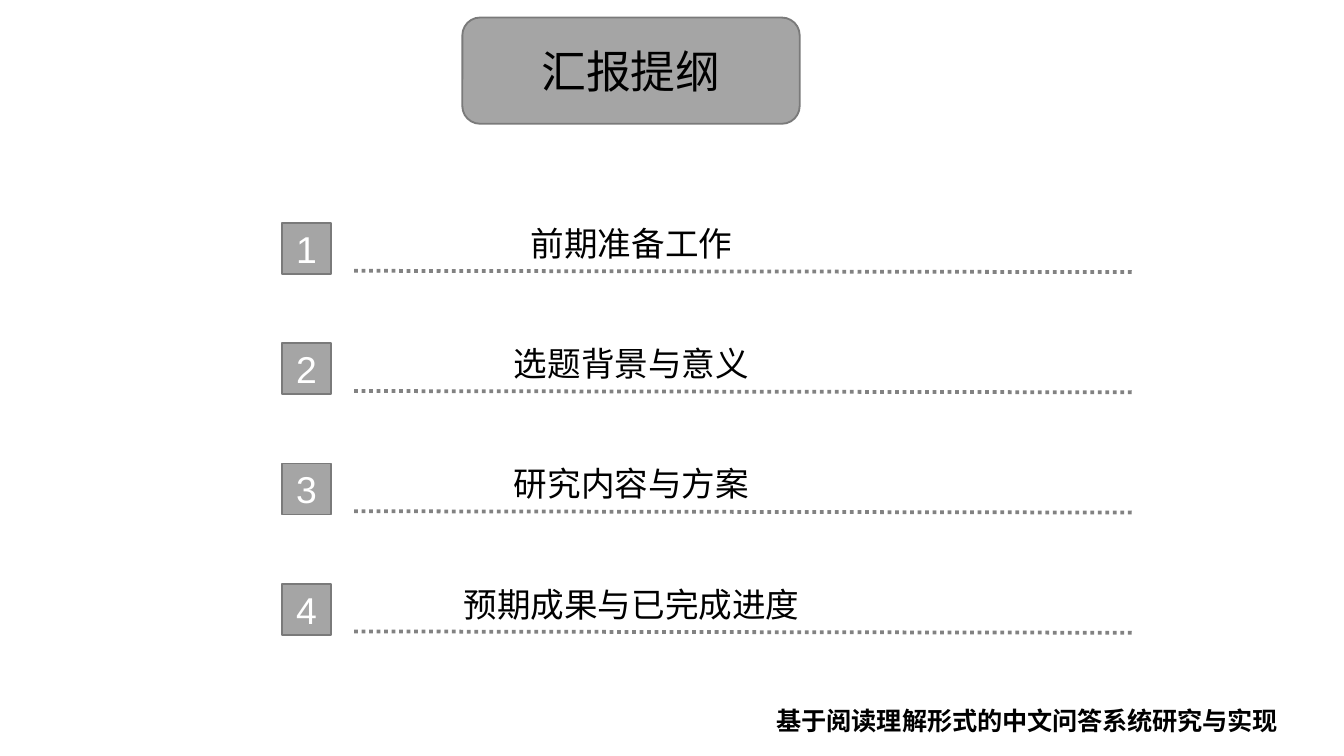
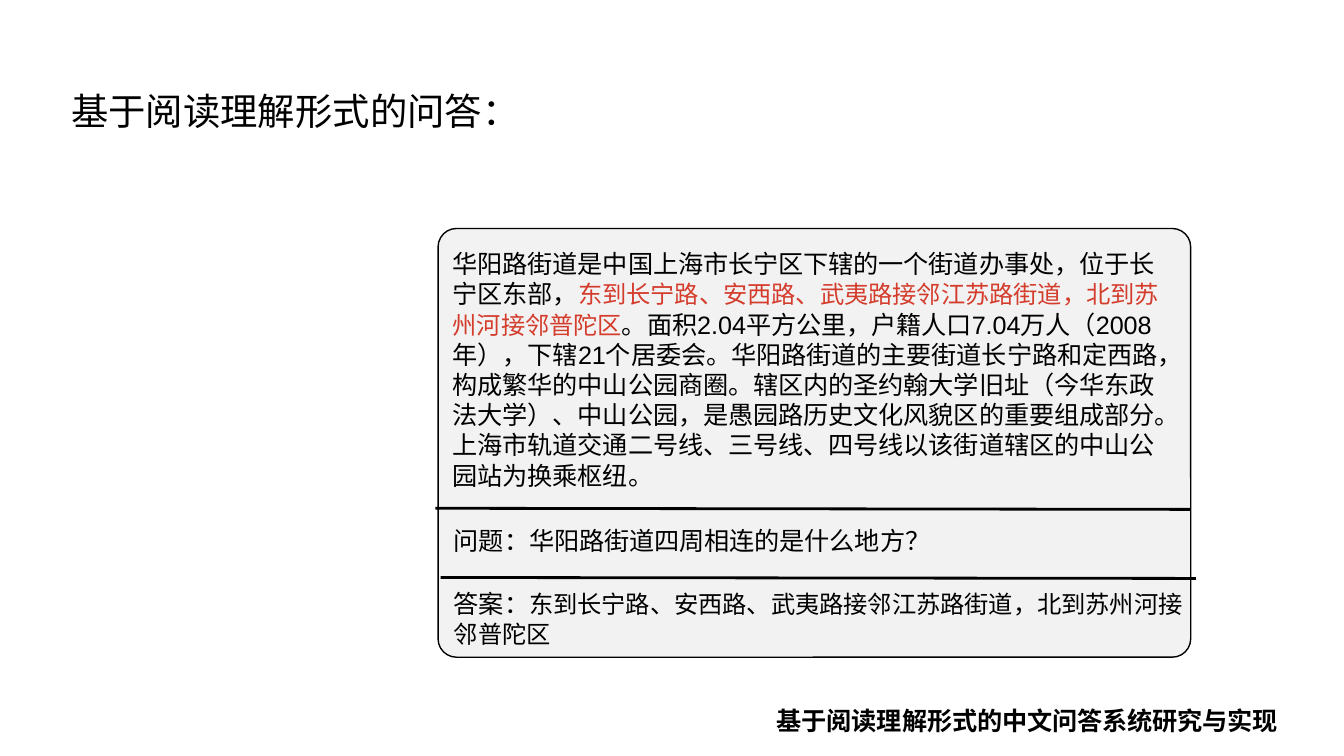
from lxml import etree
from pptx import Presentation
from pptx.dml.color import RGBColor
from pptx.enum import dml, shapes, text
from pptx.oxml import ns
from pptx.util import Pt

FONT = "Arial"
BLACK, WHITE, RED = "000000", "FFFFFF", "D43C2C"
GREY, GREY_EDGE, GREY_DOTS, PANEL = "A5A5A5", "7A7A7A", "828282", "F2F2F2"
BODY_SIZE, ANSWER_SIZE = 13.5, 13

FOOTER = "基于阅读理解形式的中文问答系统研究与实现"
AGENDA = ["前期准备工作", "选题背景与意义", "研究内容与方案", "预期成果与已完成进度"]
ANSWER = "东到长宁路、安西路、武夷路接邻江苏路街道，北到苏州河接邻普陀区"
PASSAGE_START = "华阳路街道是中国上海市长宁区下辖的一个街道办事处，位于长宁区东部，"
PASSAGE_END = (
    "。面积2.04平方公里，户籍人口7.04万人（2008年），下辖21个居委会。"
    "华阳路街道的主要街道长宁路和定西路，构成繁华的中山公园商圈。"
    "辖区内的圣约翰大学旧址（今华东政法大学）、中山公园，是愚园路历史文化风貌区的重要组成部分。"
    "上海市轨道交通二号线、三号线、四号线以该街道辖区的中山公园站为换乘枢纽。"
)


def color(value):
    return RGBColor.from_string(value)


def add_run(paragraph, words, size, ink=BLACK, bold=False):
    run = paragraph.add_run()
    run.text = words
    run.font.name = FONT
    run.font.size = Pt(size)
    run.font.bold = bold
    run.font.color.rgb = color(ink)


def add_text(slide, box, centered=False):
    """Add a wrapping text box and return its first paragraph."""
    frame = slide.shapes.add_textbox(*map(Pt, box)).text_frame
    frame.word_wrap = True
    frame.auto_size = text.MSO_AUTO_SIZE.SHAPE_TO_FIT_TEXT
    paragraph = frame.paragraphs[0]
    paragraph.alignment = text.PP_ALIGN.CENTER if centered else text.PP_ALIGN.LEFT
    return paragraph


def add_panel(slide, kind, box, fill, edge, width):
    shape = slide.shapes.add_shape(kind, *map(Pt, box))
    shape.shadow.inherit = False
    shape.fill.solid()
    shape.fill.fore_color.rgb = color(fill)
    shape.line.color.rgb = color(edge)
    shape.line.width = Pt(width)
    return shape


def add_label_panel(slide, kind, box, words, size, ink):
    """Add a grey panel with a centred label."""
    frame = add_panel(slide, kind, box, GREY, GREY_EDGE, 1).text_frame
    frame.vertical_anchor = text.MSO_ANCHOR.MIDDLE
    paragraph = frame.paragraphs[0]
    paragraph.alignment = text.PP_ALIGN.CENTER
    add_run(paragraph, words, size, ink)


def add_line(slide, start, end, ink, width, dash=None):
    line = slide.shapes.add_connector(
        shapes.MSO_CONNECTOR.STRAIGHT, *map(Pt, start + end))
    line.line.color.rgb = color(ink)
    line.line.width = Pt(width)
    if dash:
        line.line.dash_style = dash
    etree.SubElement(line.element.spPr, ns.qn("a:effectLst"))


def add_footer(slide):
    paragraph = add_text(slide, (409, 374.4, 300, 23.8))
    add_run(paragraph, FOOTER, BODY_SIZE, bold=True)


def add_agenda_row(slide, left, top, number, words):
    # Numbered square, dotted rule, topic
    add_label_panel(slide, shapes.MSO_SHAPE.RECTANGLE,
                    (left, top, 26, 27.4), str(number), 20, WHITE)
    add_line(slide, (left + 38.5, top + 25.6), (left + 456.5, top + 26.3),
             GREY_DOTS, 2, dml.MSO_LINE.ROUND_DOT)
    paragraph = add_text(slide, (left + 70.5, top - 3.6, 233.3, 29), centered=True)
    add_run(paragraph, words, 18)


def build_agenda(slide):
    add_label_panel(slide, shapes.MSO_SHAPE.ROUNDED_RECTANGLE,
                    (247.7, 9.4, 180.7, 56.9), "汇报提纲", 24, BLACK)
    for index, words in enumerate(AGENDA):
        add_agenda_row(slide, 151.2, 119.5 + 64.4 * index, index + 1, words)


def add_reading_card(slide, left, top, width, height):
    card = add_panel(slide, shapes.MSO_SHAPE.ROUNDED_RECTANGLE,
                     (left, top, width, height), PANEL, BLACK, 0.75)
    card.adjustments[0] = 0.043

    # Passage with the answer highlighted
    passage = add_text(slide, (left + 0.7, top + 7.2, width - 0.7, 138.2))
    add_run(passage, PASSAGE_START, BODY_SIZE)
    add_run(passage, ANSWER, ANSWER_SIZE, RED)
    add_run(passage, PASSAGE_END, BODY_SIZE)

    # Question
    add_line(slide, (left - 1.4, top + 149.9), (left + width, top + 150.5), BLACK, 1.5)
    question = add_text(slide, (left + 1.4, top + 155.5, 384.5, 23.8))
    add_run(question, "问题：华阳路街道四周相连的是什么地方？", BODY_SIZE)

    # Answer
    add_line(slide, (left + 1.4, top + 187), (left + width + 2.8, top + 187.5), BLACK, 1.5)
    answer = add_text(slide, (left + 1.4, top + 189.4, width + 8, 39.6))
    add_run(answer, "答案：", BODY_SIZE)
    add_run(answer, ANSWER, ANSWER_SIZE)


def build_example(slide):
    heading = add_text(slide, (31, 43.9, 437, 31.7))
    add_run(heading, "基于阅读理解形式的问答：", 20)
    add_reading_card(slide, 234.7, 122.4, 403.2, 229.7)


def main():
    presentation = Presentation()
    presentation.slide_width, presentation.slide_height = Pt(720), Pt(405)
    for build in (build_agenda, build_example):
        slide = presentation.slides.add_slide(presentation.slide_layouts[6])
        build(slide)
        add_footer(slide)
    presentation.save("out.pptx")


if __name__ == "__main__":
    main()
